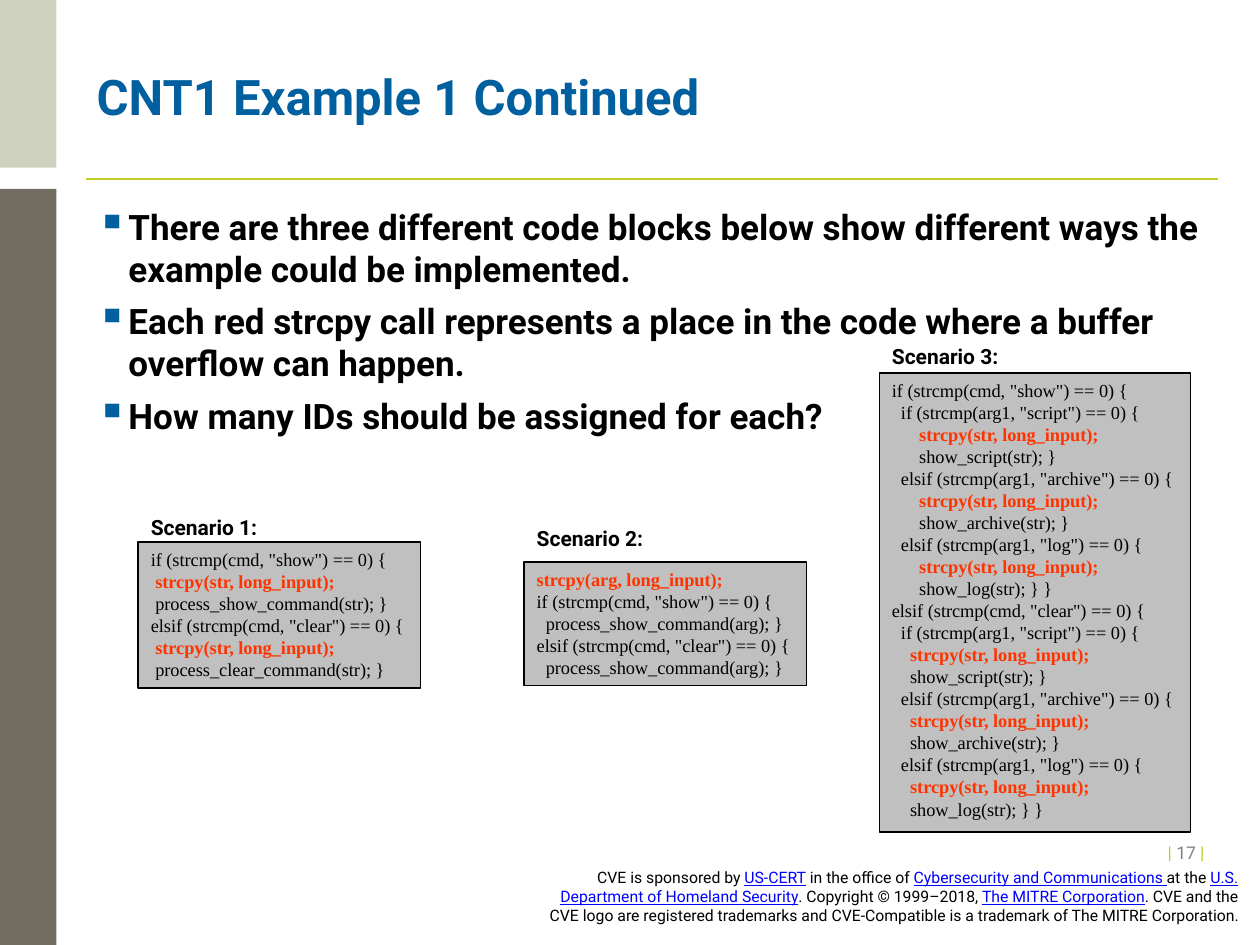
from dataclasses import dataclass

from lxml.etree import SubElement
from pptx import Presentation
from pptx.dml.color import RGBColor as Rgb
from pptx.enum.shapes import MSO_CONNECTOR as Connector, MSO_SHAPE as Shape
from pptx.enum.text import MSO_ANCHOR as Anchor, MSO_AUTO_SIZE as Fit, PP_ALIGN as Align
from pptx.oxml.ns import qn
from pptx.util import Cm, Pt


@dataclass(frozen=True)
class Theme:
    sans: str = "Roboto"
    serif: str = "Times New Roman"
    black: str = "000000"
    blue: str = "005F9E"
    lime: str = "C1CD23"
    sage: str = "D0D2C0"
    stone: str = "706C60"
    gray: str = "808080"
    panel: str = "C0C0C0"
    red: str = "FF3300"
    link: str = "0000FF"
    title_size: float = 28
    body_size: float = 20
    label_size: float = 12
    code_size: float = 10.5
    number_size: float = 10
    footer_size: float = 9


THEME = Theme()
TITLE = "CNT1 Example 1 Continued"
BULLETS = [
    "There are three different code blocks below show different ways the example could be implemented.",
    "Each red strcpy call represents a place in the code where a buffer overflow can happen.",
    "How many IDs should be assigned for each?",
]
SIDEBARS = [((0, 0, 1.14, 3.38), THEME.sage), ((0, 3.81, 1.14, 15.24), THEME.stone)]
NUMBER = [("| ", THEME.lime), ("17 ", THEME.gray), ("|", THEME.lime)]
FOOTER = [
    ("CVE is sponsored by ", THEME.black),
    ("US-CERT", THEME.link),
    (" in the office of ", THEME.black),
    ("Cybersecurity and Communications ", THEME.link),
    ("at the ", THEME.black),
    ("U.S. Department of Homeland Security", THEME.link),
    (". Copyright © 1999–2018, ", THEME.black),
    ("The MITRE Corporation", THEME.link),
    (". CVE and the CVE logo are registered trademarks and CVE-Compatible "
     "is a trademark of The MITRE Corporation.", THEME.black),
]
SCENARIOS = [
    ("Scenario 3:", 6.81, (17.73, 7.52, 6.27, 9.25), """\
if (strcmp(cmd, "show") == 0) {
  if (strcmp(arg1, "script") == 0) {
      strcpy(str, long_input);
      show_script(str); }
  elsif (strcmp(arg1, "archive") == 0) {
      strcpy(str, long_input);
      show_archive(str); }
  elsif (strcmp(arg1, "log") == 0) {
      strcpy(str, long_input);
      show_log(str); } }
elsif (strcmp(cmd, "clear") == 0) {
  if (strcmp(arg1, "script") == 0) {
    strcpy(str, long_input);
    show_script(str); }
  elsif (strcmp(arg1, "archive") == 0) {
    strcpy(str, long_input);
    show_archive(str); }
  elsif (strcmp(arg1, "log") == 0) {
    strcpy(str, long_input);
    show_log(str); } }"""),
    ("Scenario 2:", 10.46, (10.57, 11.33, 5.69, 2.49), """\
strcpy(arg, long_input);
if (strcmp(cmd, "show") == 0) {
  process_show_command(arg); }
elsif (strcmp(cmd, "clear") == 0) {
  process_show_command(arg); }"""),
    ("Scenario 1:", 10.24, (2.79, 10.92, 5.69, 2.95), """\
if (strcmp(cmd, "show") == 0) {
 strcpy(str, long_input);
 process_show_command(str); }
elsif (strcmp(cmd, "clear") == 0) {
 strcpy(str, long_input);
 process_clear_command(str); }"""),
]


def place(area):
    return [Cm(length) for length in area]


def style(font, size, color, bold=False, name=THEME.sans):
    font.name, font.size, font.bold = name, Pt(size), bold
    font.color.rgb = Rgb.from_string(color)


def add_panel(page, area, fill):
    panel = page.shapes.add_shape(Shape.RECTANGLE, *place(area))
    panel.shadow.inherit = False
    panel.fill.solid()
    panel.fill.fore_color.rgb = Rgb.from_string(fill)
    panel.line.fill.background()
    return panel


def add_text(page, area, text, size, color=THEME.black, bold=True, wrap=True):
    frame = page.shapes.add_textbox(*place(area)).text_frame
    frame.word_wrap = wrap
    frame.text = text
    for para in frame.paragraphs:
        for span in para.runs:
            style(span.font, size, color, bold)
    return frame


def add_spans(page, area, spans, size):
    frame = add_text(page, area, "", size)
    para = frame.paragraphs[0]
    para.alignment = Align.RIGHT
    for text, color in spans:
        span = para.add_run()
        span.text = text
        style(span.font, size, color)
        span.font.underline = color == THEME.link
    return frame


def add_bullet(para):
    props = para._p.get_or_add_pPr()
    props.set("marL", str(Cm(0.64)))
    props.set("indent", str(-Cm(0.64)))
    para.space_after = Pt(6)
    color = SubElement(props, qn("a:buClr"))
    SubElement(color, qn("a:srgbClr"), val=THEME.blue)
    SubElement(props, qn("a:buSzPct"), val="120000")
    SubElement(props, qn("a:buChar"), char="▪")


def add_scenario(page, label, label_top, area, code):
    panel = add_panel(page, area, THEME.panel)
    panel.line.color.rgb = Rgb.from_string(THEME.black)
    panel.line.width = Pt(1)
    frame = panel.text_frame
    frame.word_wrap, frame.auto_size = False, Fit.SHAPE_TO_FIT_TEXT
    frame.vertical_anchor = Anchor.TOP
    frame.text = code
    for para in frame.paragraphs:
        para.alignment = Align.LEFT
        risky = para.text.lstrip().startswith("strcpy")
        color = THEME.red if risky else THEME.black
        for span in para.runs:
            style(span.font, THEME.code_size, color, risky, THEME.serif)
    add_text(page, (area[0], label_top, 2.82, 0.76), label, THEME.label_size, wrap=False)


def main():
    """Build the slide on code scenarios and save it."""
    deck = Presentation()
    deck.slide_width, deck.slide_height = Cm(25.4), Cm(19.05)
    page = deck.slides.add_slide(deck.slide_layouts[6])

    rule = page.shapes.add_connector(Connector.STRAIGHT, *place((1.73, 3.61, 24.56, 3.61)))
    rule.line.color.rgb = Rgb.from_string(THEME.lime)
    rule.line.width = Pt(1)
    SubElement(rule._element.spPr, qn("a:effectLst"))
    for area, fill in SIDEBARS:
        add_panel(page, area, fill)

    footer = add_spans(page, (10.69, 17.37, 14.4, 1.42), FOOTER, THEME.footer_size)
    footer.margin_left = footer.margin_right = Cm(0.13)

    title = add_text(page, (1.7, 0.76, 19.43, 2.41), TITLE, THEME.title_size, THEME.blue)
    title.vertical_anchor = Anchor.MIDDLE
    title.paragraphs[0].line_spacing = Pt(32)

    body = add_text(page, (1.7, 4.01, 22.86, 12.75), "\n".join(BULLETS), THEME.body_size)
    for para in body.paragraphs:
        add_bullet(para)

    number = add_spans(page, (23.16, 17.02, 1.37, 0.51), NUMBER, THEME.number_size)
    number.vertical_anchor = Anchor.BOTTOM
    for scenario in SCENARIOS:
        add_scenario(page, *scenario)
    deck.save("out.pptx")


if __name__ == "__main__":
    main()
